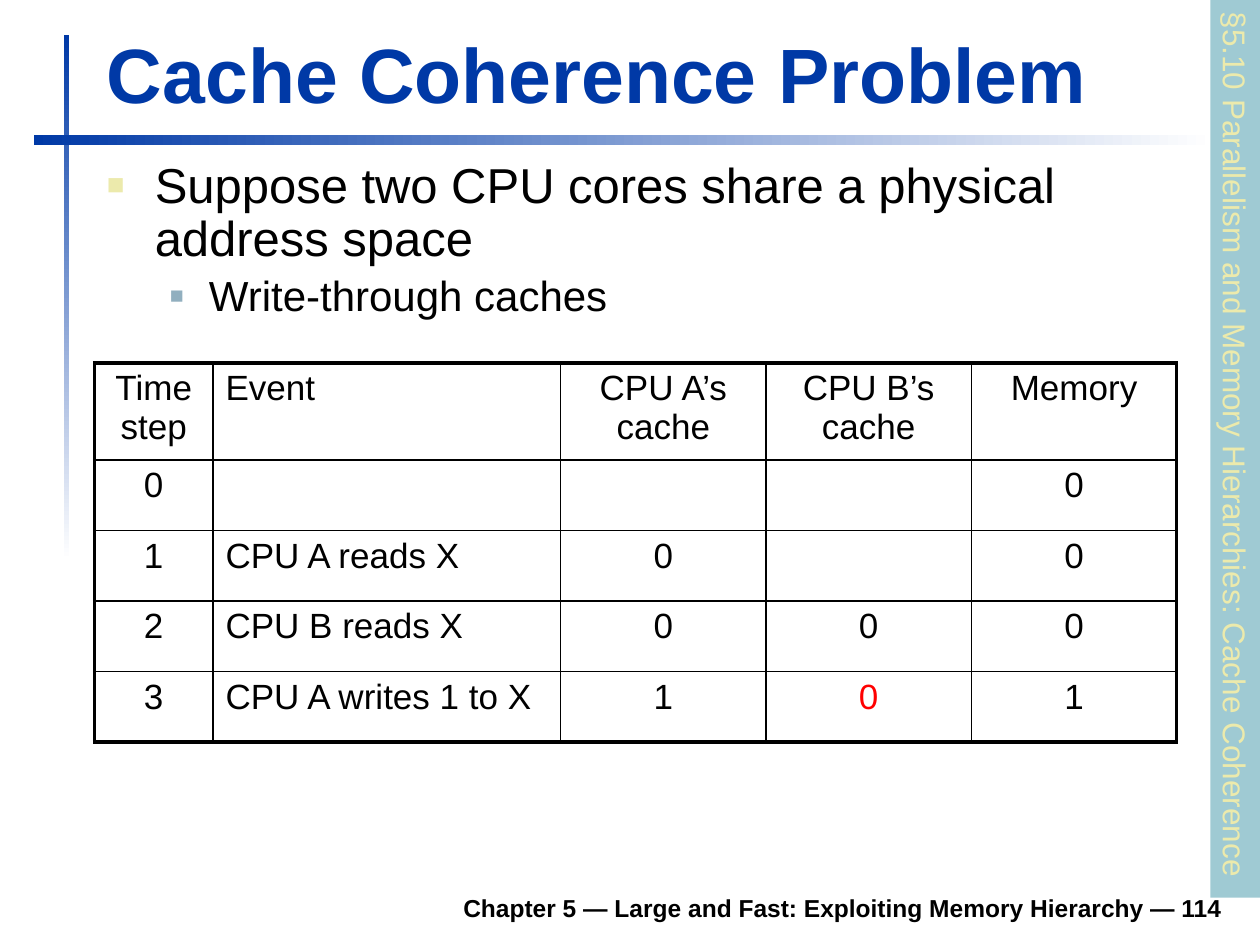
"""Build the Cache Coherence Problem slide."""
import pptx
import pptx.dml.color
import pptx.enum.shapes
import pptx.enum.text
import pptx.oxml.ns
import pptx.oxml.xmlchemy
import pptx.util
from lxml import etree

Inches = pptx.util.Inches
Pt = pptx.util.Pt
RGBColor = pptx.dml.color.RGBColor
PP_ALIGN = pptx.enum.text.PP_ALIGN
MSO_ANCHOR = pptx.enum.text.MSO_ANCHOR
RECT = pptx.enum.shapes.MSO_SHAPE.RECTANGLE
qn = pptx.oxml.ns.qn

BLUE = RGBColor(0x00, 0x39, 0xA6)
WHITE = RGBColor(0xFF, 0xFF, 0xFF)
BLACK = RGBColor(0x00, 0x00, 0x00)
RED = RGBColor(0xFF, 0x00, 0x00)
CREAM = RGBColor(0xEC, 0xEA, 0xAC)
STEEL = RGBColor(0x91, 0xAF, 0xBF)
TEAL = RGBColor(0x9F, 0xCA, 0xD3)


def style(p, size, color=BLACK, bold=False, align=PP_ALIGN.LEFT):
    p.alignment = align
    for r in p.runs:
        r.font.name = "Arial"
        r.font.size = Pt(size)
        r.font.bold = bold
        r.font.color.rgb = color


def add_text(s, box, text, anchor=MSO_ANCHOR.TOP):
    tf = s.shapes.add_textbox(*[Inches(v) for v in box]).text_frame
    tf.word_wrap = True
    tf.vertical_anchor = anchor
    tf.text = text
    return tf


prs = pptx.Presentation()
prs.slide_width = Inches(10)
prs.slide_height = Inches(7.5)
s = prs.slides.add_slide(prs.slide_layouts[6])

for box, angle in [((0.51, 0.28, 0.04, 4.17), 270), ((0.27, 1.07, 9.37, 0.08), 0)]:
    sp = s.shapes.add_shape(RECT, *[Inches(v) for v in box])
    sp.shadow.inherit = False
    sp.line.fill.background()
    sp.fill.gradient()
    sp.fill.gradient_angle = angle
    for stop, color in zip(sp.fill.gradient_stops, (BLUE, WHITE)):
        stop.color.rgb = color

tf = add_text(s, (1.85, 6.98, 7.95, 0.39),
              "Chapter 5 — Large and Fast: Exploiting Memory Hierarchy — 114", MSO_ANCHOR.BOTTOM)
style(tf.paragraphs[0], 14, bold=True, align=PP_ALIGN.RIGHT)

tf = add_text(s, (0.75, 0.16, 9.03, 0.83), "Cache Coherence Problem", MSO_ANCHOR.BOTTOM)
style(tf.paragraphs[0], 44, BLUE, bold=True)

tf = add_text(s, (0.75, 1.23, 9.05, 1.49),
              "Suppose two CPU cores share a physical address space\nWrite-through caches")
levels = [(28, 0.38, 0.38, CREAM, 60, 0), (24, 0.81, 0.31, STEEL, 55, 4.8)]
for level, (size, margin, hanging, color, percent, before) in enumerate(levels):
    p = tf.paragraphs[level]
    style(p, size)
    p.level = level
    p.line_spacing = 0.9
    p.space_before = Pt(before)
    pPr = p._p.get_or_add_pPr()
    pPr.set("marL", str(Inches(margin)))
    pPr.set("indent", str(-Inches(hanging)))
    bullet_color = etree.SubElement(pPr, qn("a:buClr"))
    etree.SubElement(bullet_color, qn("a:srgbClr"), val=str(color))
    etree.SubElement(pPr, qn("a:buSzPct"), val=str(percent * 1000))
    etree.SubElement(pPr, qn("a:buFont"), typeface="Arial")
    etree.SubElement(pPr, qn("a:buChar"), char="■")

sp = s.shapes.add_shape(RECT, Inches(6.24), Inches(3.36), Inches(7.13), Inches(0.4))
sp.rotation = 90
sp.shadow.inherit = False
sp.line.fill.background()
sp.fill.solid()
sp.fill.fore_color.rgb = TEAL
tf = sp.text_frame
tf.word_wrap = False
tf.vertical_anchor = MSO_ANCHOR.TOP
tf.text = "§5.10 Parallelism and Memory Hierarchies: Cache Coherence"
style(tf.paragraphs[0], 18, CREAM)

rows = [
    ("Time step", "Event", "CPU A’s cache", "CPU B’s cache", "Memory"),
    ("0", "", "", "", "0"),
    ("1", "CPU A reads X", "0", "", "0"),
    ("2", "CPU B reads X", "0", "0", "0"),
    ("3", "CPU A writes 1 to X", "1", "0", "1"),
]
widths = [0.94, 2.76, 1.63, 1.63, 1.63]
heights = [0.77, 0.56, 0.56, 0.56, 0.56]
last_row, last_col = len(rows) - 1, len(widths) - 1
table = s.shapes.add_table(len(rows), len(widths), Inches(0.75), Inches(2.88),
                           Inches(8.58), Inches(2.99)).table
table.first_row = False
table.horz_banding = False
for column, width in zip(table.columns, widths):
    column.width = Inches(width)
for row, height in zip(table.rows, heights):
    row.height = Inches(height)

for i, row in enumerate(rows):
    for j, text in enumerate(row):
        cell = table.cell(i, j)
        cell.text = text
        stale = (i, j) == (last_row, 3)
        style(cell.text_frame.paragraphs[0], 20, RED if stale else BLACK,
              align=PP_ALIGN.LEFT if j == 1 else PP_ALIGN.CENTER)
        tcPr = cell._tc.get_or_add_tcPr()
        edges = {"L": j == 0, "R": j == last_col, "T": i == 0, "B": i == last_row}
        for side, outer in edges.items():
            ln = etree.SubElement(tcPr, qn("a:ln" + side), w=str(Pt(2.25 if outer else 1)))
            fill = etree.SubElement(ln, qn("a:solidFill"))
            etree.SubElement(fill, qn("a:srgbClr"), val=str(BLACK))
        cell.fill.background()

prs.save("out.pptx")
